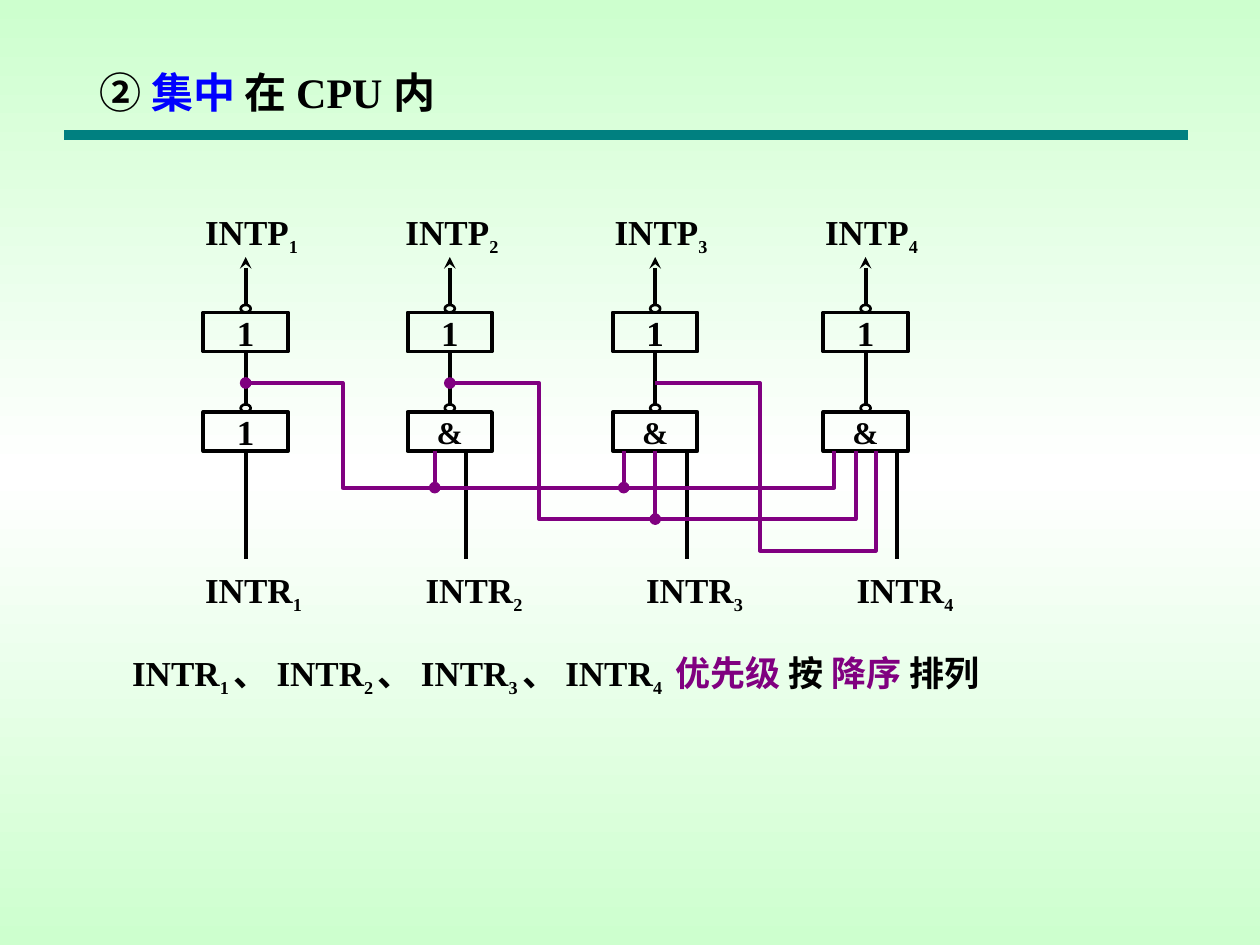
from copy import deepcopy

from pptx import Presentation, util as u
from pptx.dml.color import RGBColor
from pptx.enum import shapes, text
from pptx.oxml.ns import qn

color = RGBColor.from_string
BLACK, PURPLE, BLUE, TEAL = "000000", "800080", "0000FF", "008080"
inch = u.Inches


def stroke(shape, line_color=BLACK, width=2.25, head=None, tail=None):
    """Outline a shape or connector, without shadow, with optional line ends."""
    shape.line.color.rgb = color(line_color)
    shape.line.width = u.Pt(width)
    properties = shape.element.spPr
    line = properties.find(qn("a:ln"))
    for tag, kind in (("a:headEnd", head), ("a:tailEnd", tail)):
        if kind:
            line.makeelement(qn(tag))
            end = line.makeelement(qn(tag), {"type": kind})
            line.append(end)
    if hasattr(shape, "shadow"):
        shape.shadow.inherit = False
    else:
        properties.append(properties.makeelement(qn("a:effectLst")))
    return shape


def write(frame, runs, size=20, align=text.PP_ALIGN.LEFT):
    """Fill a frame with (text, colour, is_subscript) runs."""
    paragraph = frame.paragraphs[0]
    paragraph.alignment = align
    paragraph.font.name = "Times New Roman"
    paragraph.font.bold = True
    paragraph.font.size = u.Pt(size)
    for words, run_color, subscript in runs:
        run = paragraph.add_run()
        run.text = words
        run.font.color.rgb = color(run_color)
        if subscript:
            run.font.size = u.Pt(18)
            run.font._element.set("baseline", "-25000")


presentation = Presentation()
presentation.slide_width, presentation.slide_height = inch(10), inch(7.5)
slide = presentation.slides.add_slide(presentation.slide_layouts[5])
STRAIGHT = shapes.MSO_CONNECTOR.STRAIGHT
add_connector = slide.shapes.add_connector

# Background: green fading to white in the middle
fill = slide.background.fill
fill.gradient()
fill.gradient_angle = 270
for stop, position in zip(fill.gradient_stops, (0, 1)):
    stop.color.rgb = color("CDFFCE")
    stop.position = position
stops = slide.element.find(".//" + qn("a:gsLst"))
stops.insert(1, deepcopy(stops[0]))
middle = fill.gradient_stops[1]
middle.position = 0.5
middle.color.rgb = color("FFFFFF")

# Title and its rule
stroke(add_connector(STRAIGHT, inch(0.51), inch(1.07), inch(9.43), inch(1.07)), TEAL, 6)
title = slide.shapes.title
title.left, title.top, title.width, title.height = map(inch, (0.79, 0.44, 5.75, 0.58))
frame = title.text_frame
frame.margin_left = frame.margin_right = 0
frame.vertical_anchor = text.MSO_ANCHOR.MIDDLE
frame.auto_size = text.MSO_AUTO_SIZE.NONE
write(frame, [("② ", BLACK, False), ("集中 ", BLUE, False), ("在 CPU 内", BLACK, False)], 24)

# Grid of the circuit: one column per interrupt, rows from output to input
columns = (1.95, 3.57, 5.2, 6.87)
gate_width, gate_height = 0.67, 0.31
bubble_width, bubble_height = 0.08, 0.06
arrow_row, inverter_row, tap_row, gate_row, input_row = 2.04, 2.48, 3.04, 3.27, 4.44
pin_row = gate_row + gate_height
bus_rows = (3.87, 4.12, 4.37)
request_pins = (1.95, 3.7, 5.45, 7.12)

# Gates with their inverting bubbles, outputs and request inputs
for center, request, symbol in zip(columns, request_pins, "1&&&"):
    gates, bubbles = [], []
    for row, label in ((inverter_row, "1"), (gate_row, symbol)):
        for kind, width, height, top, weight, group in (
            (shapes.MSO_SHAPE.RECTANGLE, gate_width, gate_height, row, 2.25, gates),
            (shapes.MSO_SHAPE.OVAL, bubble_width, bubble_height, row - bubble_height, 1.5, bubbles),
        ):
            shape = slide.shapes.add_shape(
                kind, inch(center - width / 2), inch(top), inch(width), inch(height))
            shape.fill.background()
            group.append(stroke(shape, width=weight))
        frame = gates[-1].text_frame
        frame.margin_left = frame.margin_right = frame.margin_top = frame.margin_bottom = 0
        frame.vertical_anchor = text.MSO_ANCHOR.MIDDLE
        write(frame, [(label, BLACK, False)], 18 if label == "&" else 20, text.PP_ALIGN.CENTER)

    output = add_connector(STRAIGHT, inch(center), inch(inverter_row), inch(center), inch(arrow_row))
    output.begin_connect(bubbles[0], 0)
    stroke(output, tail="stealth")
    link = add_connector(STRAIGHT, inch(center), inch(inverter_row), inch(center), inch(gate_row))
    link.begin_connect(gates[0], 2)
    link.end_connect(bubbles[1], 0)
    stroke(link)
    source = add_connector(STRAIGHT, inch(request), inch(pin_row), inch(request), inch(input_row))
    if request == center:
        source.begin_connect(gates[1], 2)
    stroke(source)

# Blocking wires from each column to the last gate
turns, last_pins = (2.72, 4.28, 6.03), (6.62, 6.79, 6.95)
for start, turn, bus, pin, head in zip(columns, turns, bus_rows, last_pins, ("oval", "oval", None)):
    builder = slide.shapes.build_freeform(inch(start), inch(tap_row))
    corners = [(turn, tap_row), (turn, bus), (pin, bus), (pin, pin_row)]
    builder.add_line_segments([(inch(x), inch(y)) for x, y in corners], close=False)
    wire = builder.convert_to_shape()
    wire.fill.background()
    stroke(wire, PURPLE, head=head)

# Branches from the wires to the gates in between
for pin, bus in ((3.45, bus_rows[0]), (4.95, bus_rows[0]), (5.2, bus_rows[1])):
    stroke(add_connector(STRAIGHT, inch(pin), inch(pin_row), inch(pin), inch(bus)), PURPLE, tail="oval")

# Signal labels and the priority line
labels = []
for name, top, lefts in (("INTP", 1.62, (1.53, 3.12, 4.78, 6.45)),
                         ("INTR", 4.46, (1.53, 3.28, 5.03, 6.7))):
    for number, left in enumerate(lefts, 1):
        labels.append((left, top, 1.17, [(name, BLACK, False), (str(number), BLACK, True)]))

priority = []
for number in range(1, 5):
    priority += [("INTR", BLACK, False), (f"{number} ", BLACK, True)]
    priority.append(("、 " if number < 4 else " ", BLACK, False))
priority += [("优先级 ", PURPLE, False), ("按 ", BLACK, False),
             ("降序 ", PURPLE, False), ("排列", BLACK, False)]
labels.append((0.95, 5.12, 7.75, priority))

for left, top, width, runs in labels:
    box = slide.shapes.add_textbox(inch(left), inch(top), inch(width), inch(0.47))
    box.text_frame.word_wrap = True
    write(box.text_frame, runs)

presentation.save("out.pptx")
